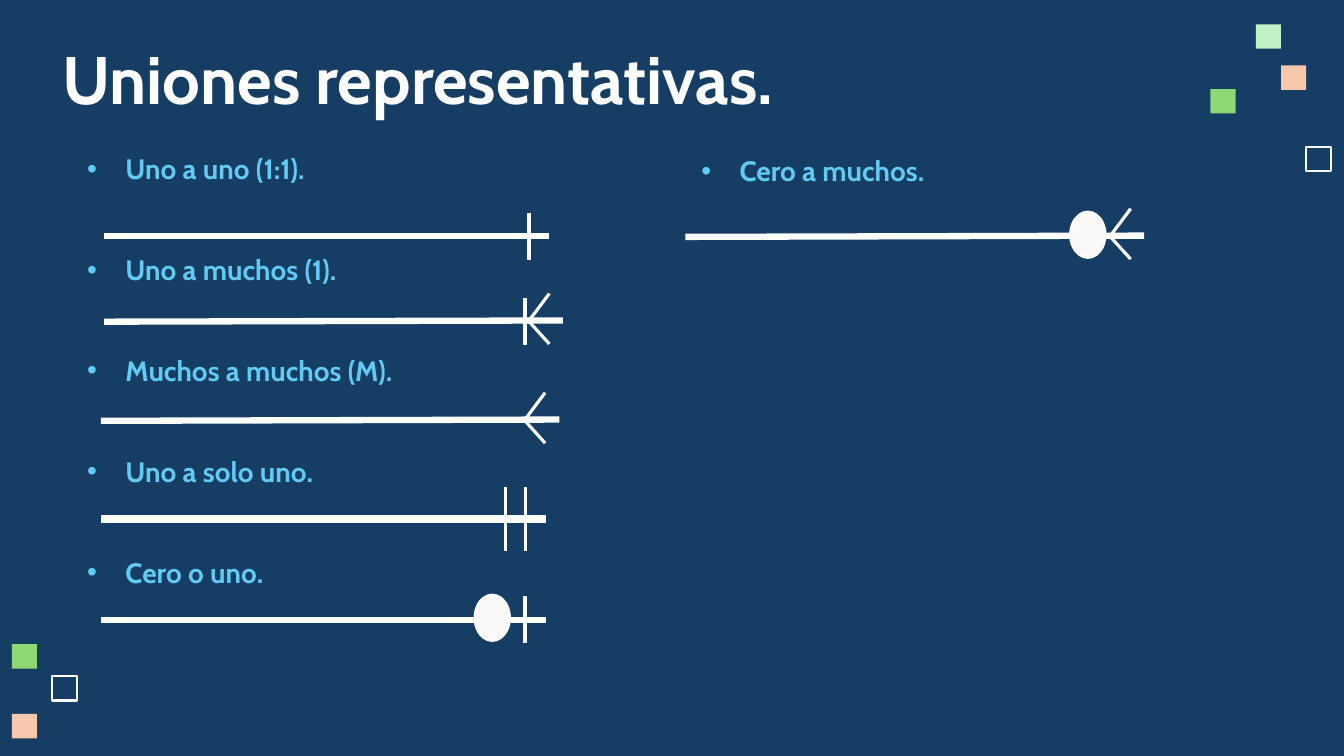
from dataclasses import dataclass
from lxml.etree import SubElement
from pptx import Presentation
from pptx.dml.color import RGBColor as Rgb
from pptx.enum.shapes import MSO_CONNECTOR as Connector, MSO_SHAPE as Shape
from pptx.enum.text import MSO_ANCHOR as Anchor, MSO_AUTO_SIZE as AutoSize, PP_ALIGN as Align
from pptx.oxml.ns import qn
from pptx.util import Inches, Pt


@dataclass(frozen=True)
class Theme:
    font: str = "Cabin"
    title_size: int = 48
    list_size: int = 20
    background: str = "163E64"
    white: str = "FFFFFF"
    sky: str = "61CBF4"
    mint: str = "C2F1C8"
    green: str = "8ED973"
    peach: str = "F6C6AD"
    circle: str = "FBFAF8"
    outline: float = 1.5
    thin: float = 2.25
    bar: float = 3
    thick: float = 4.5
    heavy: float = 6


theme = Theme()
deck = Presentation()
deck.slide_width, deck.slide_height = Inches(13.33), Inches(7.5)
COLUMN, ROW = deck.slide_width / 160, deck.slide_height / 90


def box(left, top, width, height):
    """Turn grid columns and rows into slide lengths."""
    return [int(n * unit) for n, unit in zip((left, top, width, height), (COLUMN, ROW) * 2)]


def stroke(group, start, end, weight):
    """Draw a white line between two grid points."""
    line = group.shapes.add_connector(Connector.STRAIGHT, *box(*start, *end))
    line.line.color.rgb = Rgb.from_string(theme.white)
    line.line.width = Pt(weight)
    SubElement(line._element.spPr, qn("a:effectLst"))


slide = deck.slides.add_slide(deck.slide_layouts[5])
slide.background.fill.solid()
slide.background.fill.fore_color.rgb = Rgb.from_string(theme.background)

# Title
title = slide.shapes.title
title.left, title.top, title.width, title.height = box(6.2, 3.8, 132.5, 11)
title.text_frame.text = "Uniones representativas."
title.text_frame.auto_size = AutoSize.NONE
title.text_frame.vertical_anchor = Anchor.TOP
heading = title.text_frame.paragraphs[0]
heading.alignment = Align.LEFT
heading.font.name, heading.font.size, heading.font.bold = theme.font, Pt(theme.title_size), True
heading.font.color.rgb = Rgb.from_string(theme.white)

# Corner squares: left, top, fill (None for an outline)
for left, top, color in [
    (149.5, 2.9, theme.mint), (144.1, 10.6, theme.green),
    (152.5, 7.8, theme.peach), (155.5, 17.5, None),
    (1.4, 76.7, theme.green), (1.4, 85, theme.peach), (6.2, 80.5, None),
]:
    square = slide.shapes.add_shape(Shape.RECTANGLE, *box(left, top, 3, 2.9))
    square.shadow.inherit = False
    if color:
        square.fill.solid()
        square.fill.fore_color.rgb = Rgb.from_string(color)
        square.line.fill.background()
    else:
        square.fill.background()
        square.line.color.rgb = Rgb.from_string(theme.white)
        square.line.width = Pt(theme.outline)

# Names of the relationships
left_names = ["Uno a uno (1:1).", "Uno a muchos (1).", "Muchos a muchos (M).",
              "Uno a solo uno.", "Cero o uno."]
for area, names in [((9.2, 17.5, 66.8, 61.8), left_names),
                    ((82.3, 17.7, 60.4, 5.3), ["Cero a muchos."])]:
    frame = slide.shapes.add_textbox(*box(*area)).text_frame
    frame.word_wrap = True
    frame.text = "\n".join(names)
    for index, name in enumerate(frame.paragraphs):
        if index:
            name.space_before = Pt(48)
        layout = name._p.get_or_add_pPr()
        layout.set("marL", str(Inches(0.38)))
        layout.set("indent", str(-Inches(0.38)))
        SubElement(layout, qn("a:buFont"), typeface="Arial")
        SubElement(layout, qn("a:buChar"), char="•")
        name.font.name, name.font.size, name.font.bold = theme.font, Pt(theme.list_size), True
        name.font.color.rgb = Rgb.from_string(theme.sky)

# Symbols: left, right, row, weight, bars, half bar, bar weight, crow's foot, circle centre
for left, right, row, weight, bars, half, bar_weight, foot, circle in [
    (12.4, 65.4, 28.1, theme.thick, [63], 2.8, theme.bar, None, None),
    (12.4, 67, 38.3, theme.thick, [62.5], 2.8, theme.thin, 63, None),
    (12, 66.6, 50.1, theme.thick, [], 0, theme.thin, 62.5, None),
    (12, 65, 61.8, theme.heavy, [60.2, 62.6], 3.8, theme.thin, None, None),
    (12, 65, 73.8, theme.thick, [62.5], 2.8, theme.bar, None, 58.6),
    (81.6, 136.2, 28.2, theme.thick, [], 0, theme.thin, 132.2, 129.5),
]:
    symbol = slide.shapes.add_group_shape()
    rise = 0.15 if foot else 0
    stroke(symbol, (left, row), (right, row - rise), weight)
    for bar in bars:
        stroke(symbol, (bar, row - half), (bar, row + half), bar_weight)
    if foot:
        stroke(symbol, (foot, row - rise), (foot + 2.4, row - 3.35), theme.thin)
        stroke(symbol, (foot, row), (foot + 2.4, row + 2.65), theme.thin)
    if circle:
        zero = symbol.shapes.add_shape(Shape.OVAL, *box(circle - 2.1, row - 3, 4.2, 5.5))
        zero.shadow.inherit = False
        zero.fill.solid()
        zero.fill.fore_color.rgb = Rgb.from_string(theme.circle)
        zero.line.color.rgb = Rgb.from_string(theme.white)
        zero.line.width = Pt(theme.outline)

deck.save("out.pptx")
